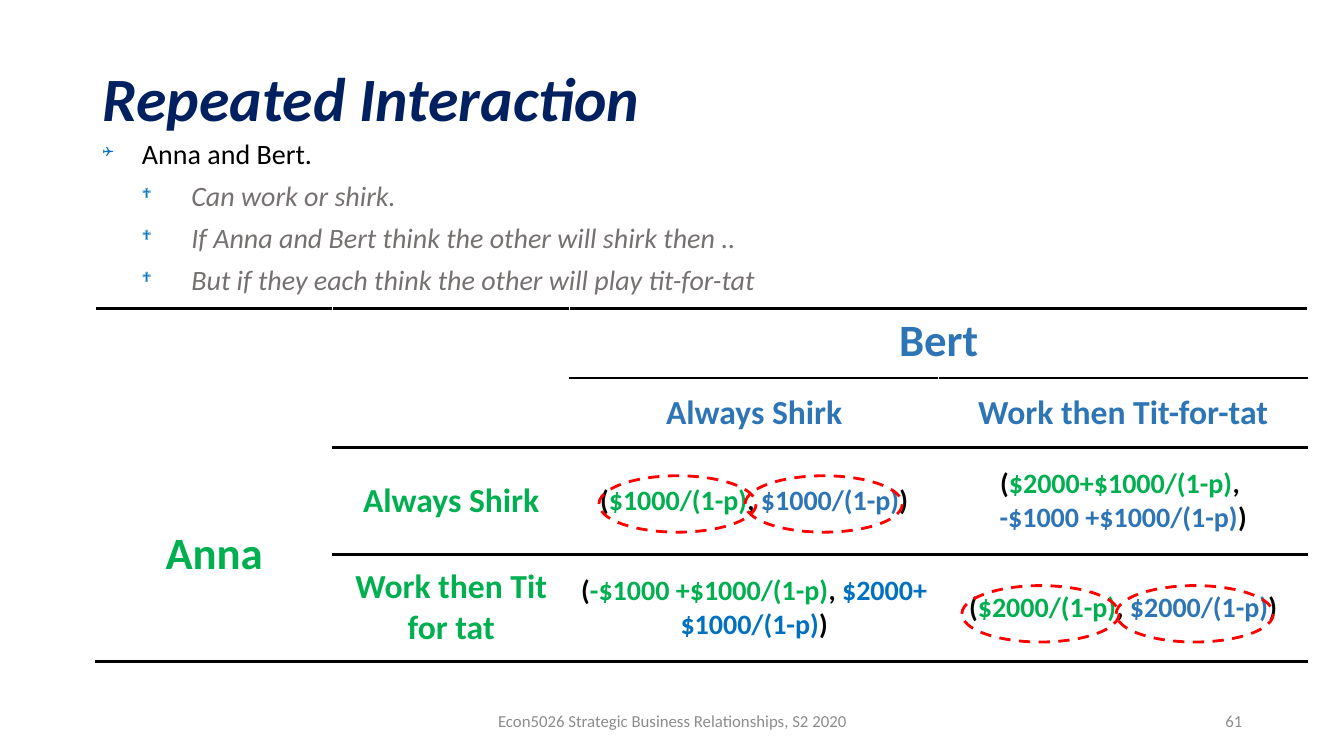
from pptx import Presentation
from pptx.dml.color import RGBColor
from pptx.enum.dml import MSO_LINE
from pptx.enum.shapes import MSO_SHAPE
from pptx.enum.text import MSO_ANCHOR, MSO_AUTO_SIZE, PP_ALIGN
from pptx.util import Pt
from lxml.etree import SubElement
from pptx.oxml.ns import qn

PX = 9144
FONT = "Calibri"
NAVY = RGBColor(0x00, 0x20, 0x60)
BLACK = RGBColor(0x00, 0x00, 0x00)
WHITE = RGBColor(0xFF, 0xFF, 0xFF)
GRAY = RGBColor(0x76, 0x71, 0x71)
PALE = RGBColor(0x8C, 0x8C, 0x8C)
BLUE = RGBColor(0x2E, 0x75, 0xB6)
AZURE = RGBColor(0x00, 0x70, 0xC0)
GREEN = RGBColor(0x00, 0xB0, 0x50)
RED = RGBColor(0xFF, 0x00, 0x00)

POINTS = [
    (0, "Anna and Bert."),
    (1, "Can work or shirk."),
    (1, "If Anna and Bert think the other will shirk then .."),
    (1, "But if they each think the other will play tit-for-tat"),
]
OPEN, COMMA, CLOSE = ("(", BLACK), (", ", BLACK), (")", BLACK)
LABELS = {
    (0, 2): ("Bert", 32, BLUE),
    (1, 2): ("Always Shirk", 24, BLUE),
    (1, 3): ("Work then Tit-for-tat", 24, BLUE),
    (2, 0): ("Anna", 32, GREEN),
    (2, 1): ("Always Shirk", 24, GREEN),
    (3, 1): ("Work then Tit for tat", 24, GREEN),
}
PAYOFFS = {
    (2, 2): [[OPEN, ("$1000/(1-p)", GREEN), COMMA, ("$1000/(1-p)", BLUE), CLOSE]],
    (2, 3): [[OPEN, ("$2000+$1000/(1-p)", GREEN), COMMA],
             [("-$1000 +$1000/(1-p)", BLUE), CLOSE]],
    (3, 2): [[OPEN, ("-$1000 +$1000/(1-p)", GREEN), COMMA,
              ("$2000+$1000/(1-p)", AZURE), CLOSE]],
    (3, 3): [[OPEN, ("$2000/(1-p)", GREEN), COMMA, ("$2000/(1-p)", BLUE), CLOSE]],
}
COLS = [235, 235, 366, 366]
ROWS = [69, 69, 106, 106]
RULES = [0, 2, 1, 1, 0]


def scale(box):
    return [n * PX for n in box]


def style(run, size, color, bold=False, italic=False):
    font = run.font
    font.name, font.size = FONT, Pt(size)
    font.bold, font.italic = bold, italic
    font.color.rgb = color


def add_title(slide, box):
    title = slide.shapes.title
    title.left, title.top, title.width, title.height = scale(box)
    frame = title.text_frame
    frame.text = "Repeated Interaction"
    frame.auto_size = MSO_AUTO_SIZE.NONE
    frame.vertical_anchor = MSO_ANCHOR.MIDDLE
    para = frame.paragraphs[0]
    para.alignment = PP_ALIGN.LEFT
    para.line_spacing = 0.9
    style(para.runs[0], 44, NAVY, True, True)


def add_bullet(para, mark, left, hang):
    props = para._p.get_or_add_pPr()
    props.set("marL", str(left * PX))
    props.set("indent", str(-hang * PX))
    color = SubElement(props, qn("a:buClr"))
    SubElement(color, qn("a:srgbClr"), val=str(AZURE))
    SubElement(props, qn("a:buSzPct"), val="50000")
    SubElement(props, qn("a:buFont"), typeface="Wingdings")
    SubElement(props, qn("a:buChar"), char=mark)


def add_points(slide, box):
    frame = slide.shapes.add_textbox(*scale(box)).text_frame
    frame.word_wrap = True
    for i, (level, text) in enumerate(POINTS):
        para = frame.add_paragraph() if i else frame.paragraphs[0]
        para.text = text
        if level:
            add_bullet(para, "❖", 88, 49)
            para.space_before = Pt(6)
        else:
            add_bullet(para, "❑", 39, 39)
            para.line_spacing = 1.2
        style(para.runs[0], 20, GRAY if level else BLACK, italic=bool(level))


def add_note(slide, box, text, align):
    frame = slide.shapes.add_textbox(*scale(box)).text_frame
    frame.word_wrap = True
    frame.vertical_anchor = MSO_ANCHOR.MIDDLE
    frame.text = text
    para = frame.paragraphs[0]
    para.alignment = align
    style(para.runs[0], 12, PALE)


def add_edge(cell, side, dark):
    width = Pt(2.25 if dark else 1)
    line = SubElement(cell._tc.get_or_add_tcPr(), qn("a:ln" + side), w=str(width))
    fill = SubElement(line, qn("a:solidFill"))
    SubElement(fill, qn("a:srgbClr"), val=str(BLACK if dark else WHITE))


def fill_cell(cell, lines, size):
    frame = cell.text_frame
    for i, parts in enumerate(lines):
        para = frame.add_paragraph() if i else frame.paragraphs[0]
        para.alignment = PP_ALIGN.CENTER
        for text, color in parts:
            run = para.add_run()
            run.text = text
            style(run, size, color, True)


def add_game(slide, box):
    table = slide.shapes.add_table(len(ROWS), len(COLS), *scale(box)).table
    table.first_row = table.horz_banding = False
    for col, width in zip(table.columns, COLS):
        col.width = width * PX
    for row, height in zip(table.rows, ROWS):
        row.height = height * PX
    table.cell(0, 2).merge(table.cell(0, 3))
    table.cell(2, 0).merge(table.cell(3, 0))
    for r in range(len(ROWS)):
        for c in range(len(COLS)):
            cell = table.cell(r, c)
            end = r + (cell.span_height if cell.is_merge_origin else 1)
            add_edge(cell, "L", False)
            add_edge(cell, "R", False)
            add_edge(cell, "T", c >= RULES[r])
            add_edge(cell, "B", c >= RULES[end])
            cell.fill.background()
            cell.vertical_anchor = MSO_ANCHOR.MIDDLE if r else MSO_ANCHOR.TOP
            if (r, c) in LABELS:
                text, size, color = LABELS[r, c]
                fill_cell(cell, [[(text, color)]], size)
            elif (r, c) in PAYOFFS:
                fill_cell(cell, PAYOFFS[r, c], 20)


def add_ring(slide, box):
    ring = slide.shapes.add_shape(MSO_SHAPE.OVAL, *scale(box))
    ring.shadow.inherit = False
    ring.fill.background()
    ring.line.color.rgb = RED
    ring.line.width = Pt(2)
    ring.line.dash_style = MSO_LINE.DASH


def main():
    deck = Presentation()
    deck.slide_width, deck.slide_height = scale((1333, 750))
    slide = deck.slides.add_slide(deck.slide_layouts[5])
    add_title(slide, (92, 40, 1150, 121))
    add_points(slide, (92, 124, 1150, 552))
    add_note(slide, (442, 695, 450, 40),
             "Econ5026 Strategic Business Relationships, S2 2020", PP_ALIGN.CENTER)
    add_note(slide, (942, 695, 300, 40), "61", PP_ALIGN.RIGHT)
    add_game(slide, (95, 306, sum(COLS), sum(ROWS)))
    for left, top in [(594, 472), (739, 472), (954, 581), (1107, 581)]:
        add_ring(slide, (left, top, 156, 56))
    deck.save("out.pptx")


if __name__ == "__main__":
    main()
